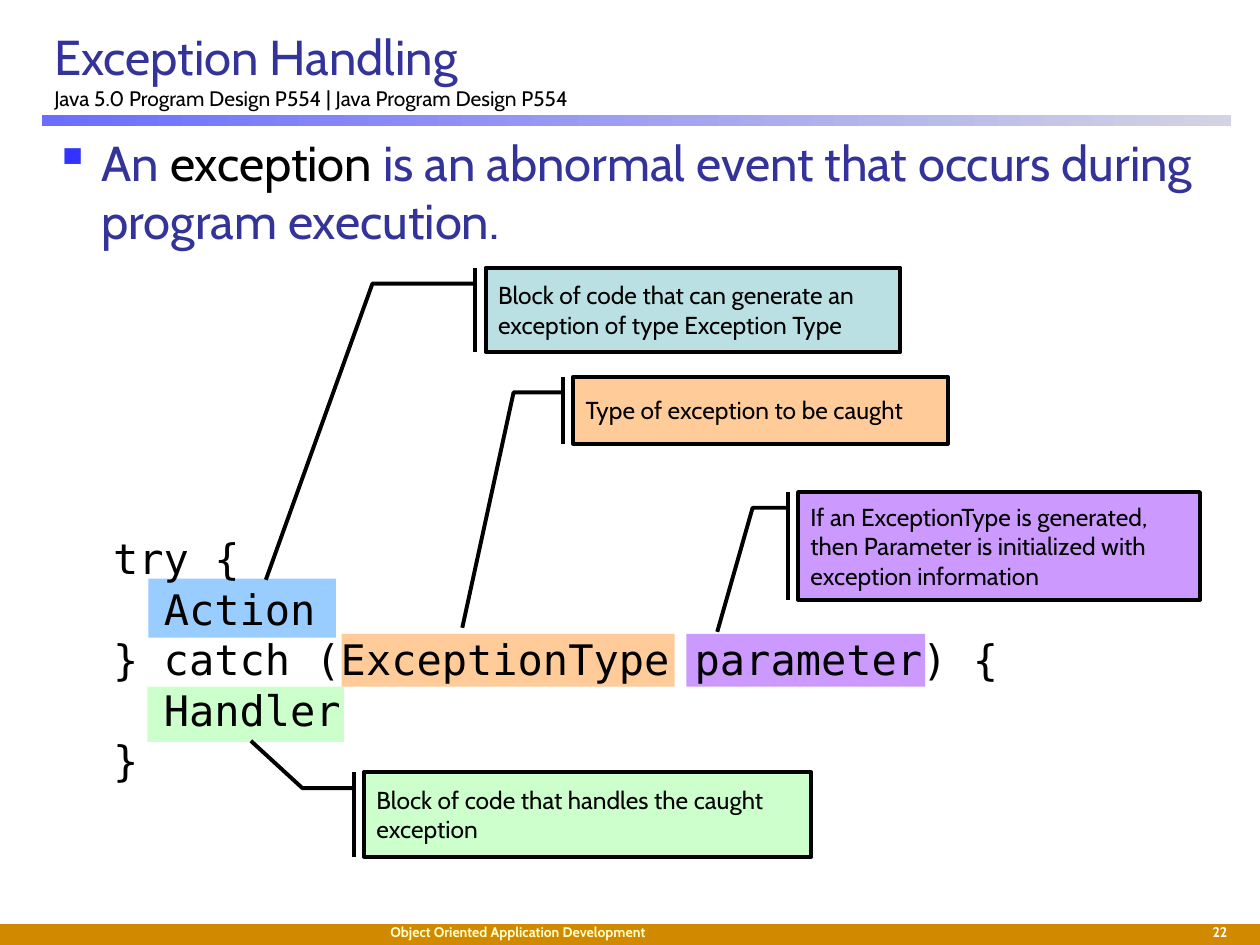
import pptx
import pptx.dml.color
import pptx.enum.shapes
import pptx.enum.text
import pptx.oxml
import pptx.oxml.ns
import pptx.util

Pt = pptx.util.Pt
SHAPE = pptx.enum.shapes.MSO_SHAPE
ANCHOR = pptx.enum.text.MSO_ANCHOR
ALIGN = pptx.enum.text.PP_ALIGN
COLORS = {
    "black": "000000", "white": "FFFFFF", "navy": "333399", "bullet": "3333FF",
    "footer": "D18A00", "cream": "FFFFCC", "rule start": "6B6EFD", "rule end": "D2D3E3",
    "green": "CCFFCC", "orange": "FFCC99", "purple": "CC99FF", "blue": "99CCFF",
    "teal": "BBE0E3",
}


def add_block(kind, left, top, width, height, color):
    block = page.shapes.add_shape(kind, Pt(left), Pt(top), Pt(width), Pt(height))
    block.shadow.inherit = False
    block.fill.solid()
    block.fill.fore_color.rgb = pptx.dml.color.RGBColor.from_string(COLORS[color])
    block.line.fill.background()
    return block


def style(span, size, color, font="Cabin", bold=False):
    span.font.size = Pt(size)
    span.font.name = font
    span.font.bold = bold
    span.font.color.rgb = pptx.dml.color.RGBColor.from_string(COLORS[color])


deck = pptx.Presentation()
deck.slide_width, deck.slide_height = Pt(720), Pt(540)
page = deck.slides.add_slide(deck.slide_layouts[6])

# Footer band and the fading rule under the title
add_block(SHAPE.RECTANGLE, 0, 528, 720, 12, "footer")
rule = add_block(SHAPE.RECTANGLE, 24, 65.7, 679.3, 6.3, "white")
rule.fill.gradient()
rule.fill.gradient_angle = 0
for stop, position, name in zip(rule.fill.gradient_stops, (0, 1), ("rule start", "rule end")):
    stop.position = position
    stop.color.rgb = pptx.dml.color.RGBColor.from_string(COLORS[name])

# Footer text and page number
for text, left, width, color, align in (
    ("Object Oriented Application Development", 216, 288, "cream", ALIGN.LEFT),
    ("22", 606.5, 102, "white", ALIGN.RIGHT),
):
    box = page.shapes.add_textbox(Pt(left), Pt(524), Pt(width), Pt(16))
    box.text_frame.word_wrap = True
    box.text_frame.text = text
    para = box.text_frame.paragraphs[0]
    para.alignment = align
    style(para.runs[0], 8, color, bold=True)

# Highlights behind the code
for left, top, width, height, color in (
    (84.2, 392.4, 112.3, 31.5, "green"),
    (195.3, 362.2, 190.2, 30.2, "orange"),
    (392.2, 362.2, 136.5, 30.2, "purple"),
    (84.8, 330.7, 107.2, 33.8, "blue"),
):
    add_block(SHAPE.RECTANGLE, left, top, width, height, color)

# Title and subtitle
box = page.shapes.add_textbox(Pt(24), Pt(12), Pt(678), Pt(54))
box.text_frame.word_wrap = True
box.text_frame.vertical_anchor = ANCHOR.MIDDLE
box.text_frame.text = "Exception Handling\vJava 5.0 Program Design P554 | Java Program Design P554"
title, subtitle = box.text_frame.paragraphs[0].runs
style(title, 28, "navy")
style(subtitle, 12, "black")

# Bulleted definition
box = page.shapes.add_textbox(Pt(24), Pt(72), Pt(678), Pt(438))
box.text_frame.word_wrap = True
para = box.text_frame.paragraphs[0]
para.space_before = Pt(5.6)
for text, color in (
    ("An ", "navy"),
    ("exception ", "black"),
    ("is an abnormal event that occurs during program execution.", "navy"),
):
    span = para.add_run()
    span.text = text
    style(span, 28, color)
properties = para._p.get_or_add_pPr()
properties.set("marL", str(Pt(27)))
properties.set("indent", str(Pt(-27)))
namespace = pptx.oxml.ns.nsdecls("a")
for markup in (
    f'<a:buClr {namespace}><a:srgbClr val="{COLORS["bullet"]}"/></a:buClr>',
    f'<a:buChar {namespace} char="▪"/>',
):
    properties.append(pptx.oxml.parse_xml(markup))

# Code, with the block bodies indented by two characters
box = page.shapes.add_textbox(Pt(57.6), Pt(301), Pt(542), Pt(151))
box.text_frame.word_wrap = True
box.text_frame.text = "try {\nAction\n} catch (ExceptionType parameter) {\nHandler\n}"
for para in box.text_frame.paragraphs:
    style(para.runs[0], 24, "black", "DejaVu Sans Mono")
    if para.text in ("Action", "Handler"):
        para._p.get_or_add_pPr().set("marL", str(Pt(28.9)))

# Callouts: the leader runs level from the bar, then bends to its target
for text, left, top, width, height, color, level, bar, bend, target in (
    ("Block of code that handles the caught exception",
     208, 441.3, 255.6, 48.2, "green", 0.188, -0.023, -0.138, (-0.372, -0.253)),
    ("Block of code that can generate an exception of type Exception Type",
     277.5, 153, 237, 48.2, "teal", 0.188, -0.025, -0.273, (3.701, -0.53)),
    ("Type of exception to be caught",
     327.5, 215.3, 214, 38.2, "orange", 0.235, -0.028, -0.159, (3.755, -0.296)),
    ("If an ExceptionType is generated, then Parameter is initialized with exception information",
     456, 281.2, 229.7, 61.5, "purple", 0.146, -0.026, -0.113, (1.299, -0.201)),
):
    callout = add_block(SHAPE.LINE_CALLOUT_2_BORDER_AND_ACCENT_BAR,
                        left, top, width, height, color)
    for index, value in enumerate((level, bar, level, bend, *target)):
        callout.adjustments[index] = value
    callout.line.color.rgb = pptx.dml.color.RGBColor.from_string(COLORS["black"])
    callout.line.width = Pt(2.25)
    callout.text_frame.word_wrap = True
    callout.text_frame.vertical_anchor = ANCHOR.MIDDLE
    callout.text_frame.text = text
    para = callout.text_frame.paragraphs[0]
    para.alignment = ALIGN.LEFT
    style(para.runs[0], 14, "black")

deck.save("out.pptx")
